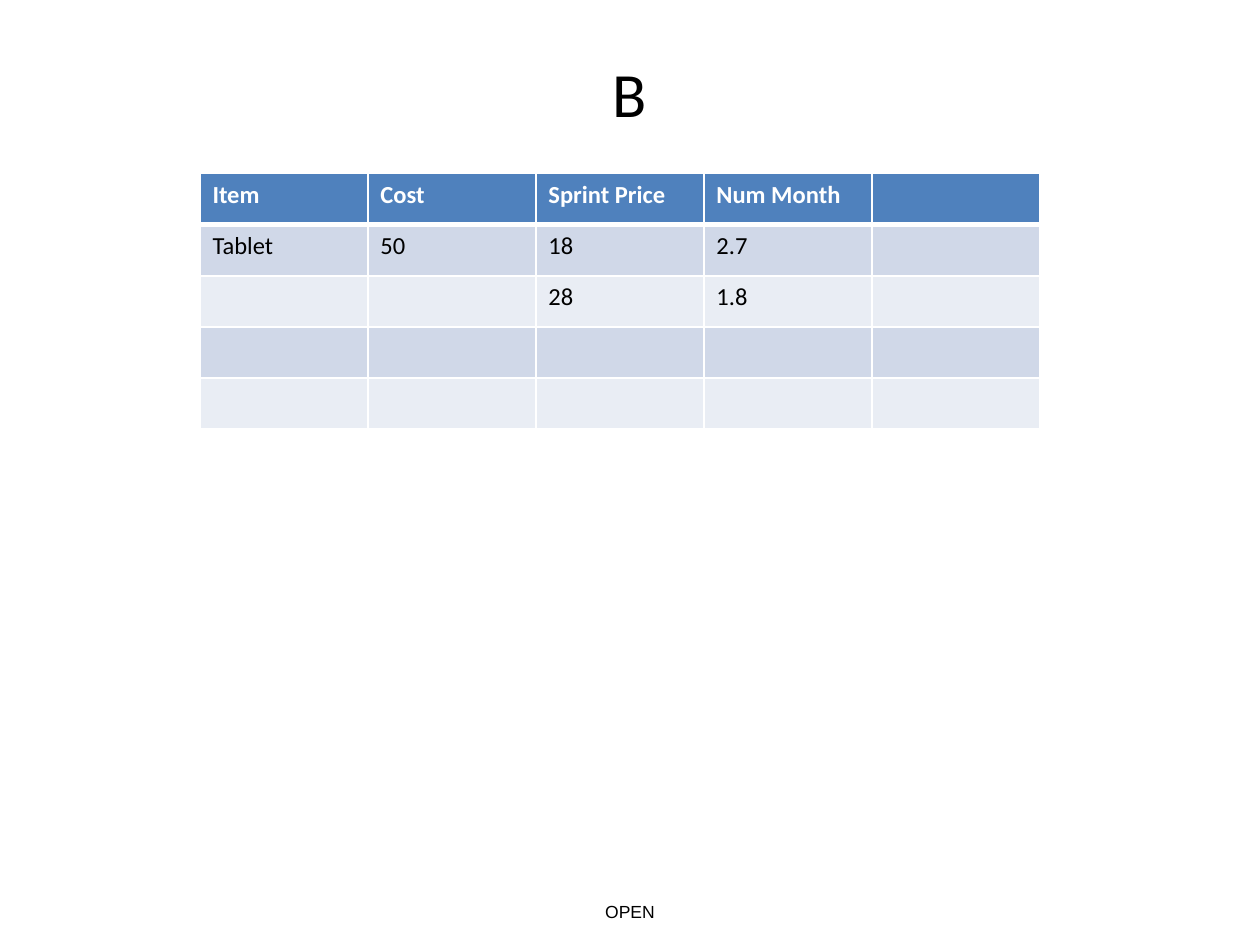
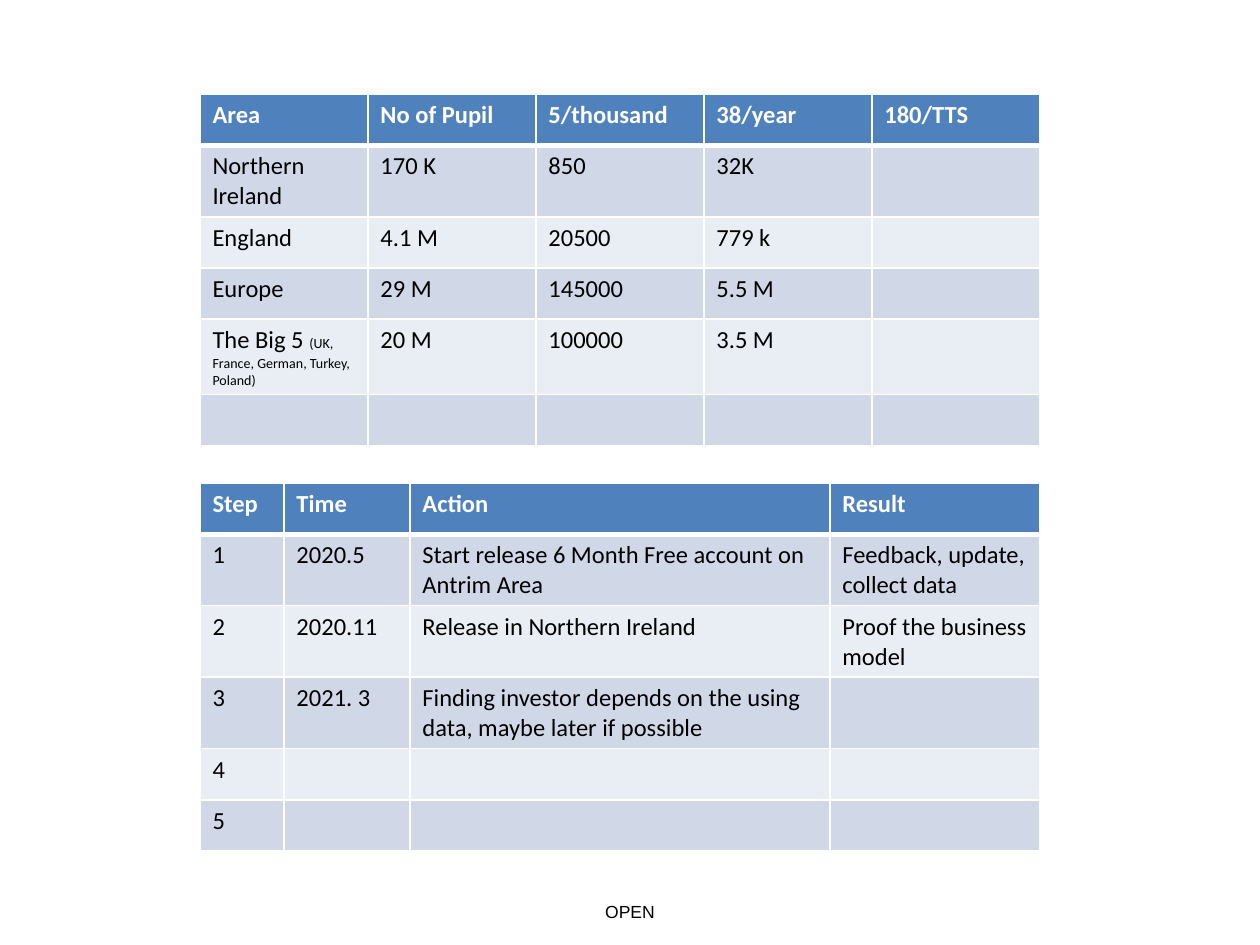
"""Build two slides of pricing, market and release plan tables."""
from dataclasses import dataclass

from lxml.etree import SubElement
from pptx import Presentation
from pptx.dml.color import RGBColor as Rgb
from pptx.enum.text import MSO_ANCHOR as Anchor, PP_ALIGN as Align
from pptx.oxml.ns import qn
from pptx.util import Cm, Pt


@dataclass(frozen=True)
class Theme:
    text: str = "000000"
    header_text: str = "FFFFFF"
    header_fill: str = "4F81BD"
    band_fills: tuple = ("D0D8E8", "E9EDF4")
    rule: str = "FFFFFF"
    thin: float = 1
    thick: float = 3
    font: str = "Calibri"
    footer_font: str = "Arial"
    title_size: int = 36
    cell_size: int = 14
    note_size: int = 8
    footer_size: int = 10


THEME = Theme()
SLIDE_WIDTH, SLIDE_HEIGHT = Cm(25.4), Cm(19.05)
TABLE_LEFT, TABLE_WIDTH, ROW_HEIGHT = Cm(4.03), Cm(16.93), Cm(1.03)
TITLE_ONLY, BLANK = 5, 6

PRICES = [
    ["Item", "Cost", "Sprint Price", "Num Month", ""],
    ["Tablet", "50", "18", "2.7", ""],
    ["", "", "28", "1.8", ""],
    [""] * 5,
    [""] * 5,
]
MARKETS = [
    ["Area", "No of Pupil", "5/thousand", "38/year", "180/TTS"],
    ["Northern Ireland", "170 K", "850", "32K", ""],
    ["England", "4.1 M", "20500", "779 k", ""],
    ["Europe", "29 M", "145000", "5.5 M", ""],
    [("The Big 5 ", "(UK, France, German, Turkey, Poland)"),
     "20 M", "100000", "3.5 M", ""],
    [""] * 5,
]
PLAN = [
    ["Step", "Time", "Action", "Result"],
    ["1", "2020.5", "Start release 6 Month Free account on Antrim Area",
     "Feedback, update, collect data"],
    ["2", "2020.11", "Release in Northern Ireland", "Proof the business model"],
    ["3", "2021. 3",
     "Finding investor depends on the using data, maybe later if possible", ""],
    ["4", "", "", ""],
    ["5", "", "", ""],
]


def set_font(paragraph, name, size, color, bold=False):
    """Format a whole paragraph."""
    font = paragraph.font
    font.name, font.size, font.bold = name, Pt(size), bold
    font.color.rgb = Rgb.from_string(color)


def add_title(slide, text):
    """Fill and place the title placeholder."""
    title = slide.shapes.title
    title.left, title.top = Cm(1.27), Cm(0.76)
    title.width, title.height = Cm(22.86), Cm(2.21)
    title.text_frame.text = text
    title.text_frame.vertical_anchor = Anchor.MIDDLE
    heading = title.text_frame.paragraphs[0]
    heading.alignment = Align.CENTER
    set_font(heading, THEME.font, THEME.title_size, THEME.text)


def add_footer(slide):
    """Add the classification line along the bottom edge."""
    footer = slide.shapes.add_textbox(0, Cm(18.03), SLIDE_WIDTH, Cm(1.02))
    footer.text_frame.word_wrap = True
    marking = footer.text_frame.paragraphs[0]
    marking.text = "OPEN"
    marking.alignment = Align.CENTER
    set_font(marking, THEME.footer_font, THEME.footer_size, THEME.text)


def set_borders(cell, row):
    """Rule a cell, with a thick line between header and body."""
    widths = {
        "a:lnL": THEME.thin,
        "a:lnR": THEME.thin,
        "a:lnT": THEME.thick if row == 1 else THEME.thin,
        "a:lnB": THEME.thick if row == 0 else THEME.thin,
    }
    properties = cell._tc.get_or_add_tcPr()
    for side, width in widths.items():
        line = SubElement(properties, qn(side), w=str(Pt(width)))
        fill = SubElement(line, qn("a:solidFill"))
        SubElement(fill, qn("a:srgbClr"), val=THEME.rule)


def fill_cell(cell, row, content):
    """Write and format one cell; a pair holds text and a small note."""
    text, note = content if isinstance(content, tuple) else (content, "")
    is_header = row == 0
    set_borders(cell, row)
    cell.fill.solid()
    cell.fill.fore_color.rgb = Rgb.from_string(
        THEME.header_fill if is_header else THEME.band_fills[(row - 1) % 2])
    paragraph = cell.text_frame.paragraphs[0]
    set_font(paragraph, THEME.font, THEME.cell_size,
             THEME.header_text if is_header else THEME.text, is_header)
    if text:
        paragraph.add_run().text = text
    if note:
        note_run = paragraph.add_run()
        note_run.text = note
        note_run.font.size = Pt(THEME.note_size)


def add_data_table(slide, top, rows, shares):
    """Add a banded table whose columns split the width by shares."""
    table = slide.shapes.add_table(
        len(rows), len(shares), TABLE_LEFT, top, TABLE_WIDTH,
        ROW_HEIGHT * len(rows)).table
    table.horz_banding = False
    for column, share in zip(table.columns, shares):
        column.width = int(TABLE_WIDTH * share / sum(shares))
    for row, contents in enumerate(rows):
        for column, content in enumerate(contents):
            fill_cell(table.cell(row, column), row, content)


def main():
    """Build and save the presentation."""
    deck = Presentation()
    deck.slide_width, deck.slide_height = SLIDE_WIDTH, SLIDE_HEIGHT

    pricing = deck.slides.add_slide(deck.slide_layouts[TITLE_ONLY])
    add_title(pricing, "B")
    add_data_table(pricing, Cm(3.5), PRICES, [1] * 5)

    rollout = deck.slides.add_slide(deck.slide_layouts[BLANK])
    add_data_table(rollout, Cm(1.9), MARKETS, [1] * 5)
    add_data_table(rollout, Cm(9.74), PLAN, [2, 3, 10, 5])

    for slide in deck.slides:
        add_footer(slide)
    deck.save("out.pptx")


if __name__ == "__main__":
    main()
